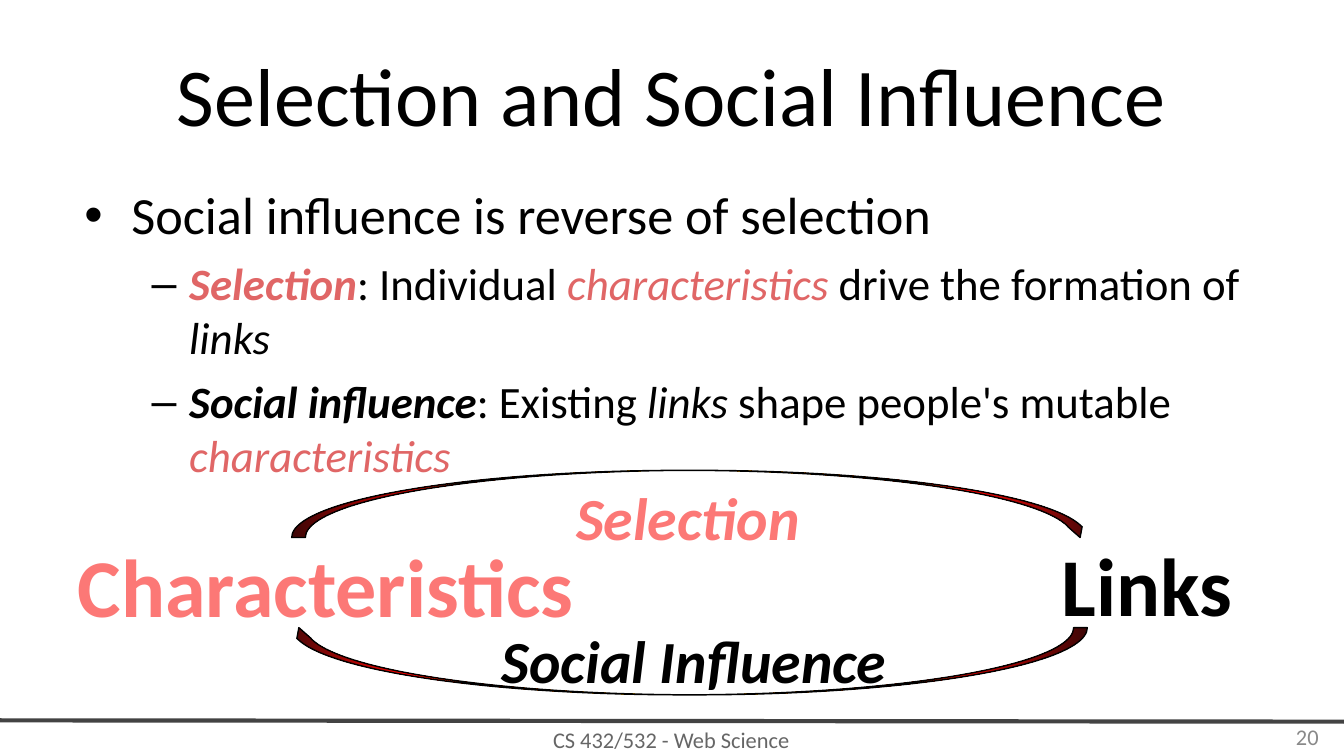
"""Build a slide that contrasts selection with social influence."""
from lxml import etree
from pptx import Presentation
from pptx.dml.color import RGBColor
from pptx.enum import shapes, text
from pptx.oxml import parse_xml
from pptx.oxml.ns import nsdecls, qn
from pptx.util import Inches, Pt

BLACK, ROSE, CORAL = "000000", "E06666", "FC7876"
LEFT, CENTER, RIGHT = text.PP_ALIGN.LEFT, text.PP_ALIGN.CENTER, text.PP_ALIGN.RIGHT


def color(value):
    return RGBColor.from_string(value)


def add_text(place, words, size, shade, align=CENTER, bold=False, italic=False):
    box = page.shapes.add_textbox(*map(Inches, place))
    frame = box.text_frame
    frame.word_wrap = True
    frame.vertical_anchor = text.MSO_ANCHOR.MIDDLE
    para = frame.paragraphs[0]
    para.text = words
    para.alignment = align
    font = para.font
    font.name, font.size, font.bold, font.italic = "Calibri", Pt(size), bold, italic
    font.color.rgb = color(shade)
    return frame


deck = Presentation()
deck.slide_width, deck.slide_height = Inches(10), Inches(10 * 9 / 16)
page = deck.slides.add_slide(deck.slide_layouts[6])

add_text((1.82, 5.37, 6.35, 0.26), "CS 432/532 - Web Science", 12, "666666")
rule = page.shapes.add_connector(
    shapes.MSO_CONNECTOR.STRAIGHT, Inches(0), Inches(5.36), Inches(10), Inches(5.37))
rule.line.color.rgb = color("434343")
rule.line.width = Pt(2.25)
etree.SubElement(rule._element.spPr, qn("a:effectLst"))

add_text((0.5, 0.23, 9, 0.94), "Selection and Social Influence", 44, BLACK)

points = [
    ("•", 28, 0.38, -0.35, 0,
     [("Social influence is reverse of selection", BLACK, False, False)]),
    ("–", 24, 0.81, -0.28, 5.6,
     [("Selection", ROSE, True, True),
      (": Individual ", BLACK, False, False),
      ("characteristics", ROSE, False, True),
      (" drive the formation of ", BLACK, False, False),
      ("links", BLACK, False, True)]),
    ("–", 24, 0.81, -0.28, 5.6,
     [("Social influence", BLACK, True, True),
      (": Existing ", BLACK, False, False),
      ("links", BLACK, False, True),
      (" shape people's mutable ", BLACK, False, False),
      ("characteristics", ROSE, False, True)]),
]
body = add_text((0.5, 1.31, 9, 2.3), "", 28, BLACK, LEFT)
body.vertical_anchor = text.MSO_ANCHOR.TOP
for index, (bullet, size, margin, indent, gap, spans) in enumerate(points):
    para = body.paragraphs[0] if index == 0 else body.add_paragraph()
    para.level = min(index, 1)
    para.space_before = Pt(gap)
    para.font.name, para.font.size = "Calibri", Pt(size)
    props = para._p.get_or_add_pPr()
    props.set("marL", str(Inches(margin)))
    props.set("indent", str(Inches(indent)))
    marks = (
        f'<a:buClr {nsdecls("a")}><a:srgbClr val="{BLACK}"/></a:buClr>',
        f'<a:buFont {nsdecls("a")} typeface="Arial"/>',
        f'<a:buChar {nsdecls("a")} char="{bullet}"/>',
    )
    for mark in marks:
        props.find(qn("a:defRPr")).addprevious(parse_xml(mark))
    for words, shade, bold, italic in spans:
        span = para.add_run()
        span.text = words
        span.font.bold, span.font.italic = bold, italic
        span.font.color.rgb = color(shade)

add_text((0.33, 3.99, 4.33, 0.72), "Characteristics ", 44, CORAL, bold=True)
add_text((7.41, 3.98, 2.25, 0.72), "Links", 44, BLACK, bold=True)

stops = "".join(
    f'<a:gs pos="{position * 1000}"><a:srgbClr val="{shade}"/></a:gs>'
    for position, shade in ((0, "FFF200"), (45, "FF7A00"), (70, "FF0300"), (100, "4D0808")))
gradient = (
    f'<a:gradFill {nsdecls("a")}><a:gsLst>{stops}</a:gsLst><a:path path="circle">'
    '<a:fillToRect l="50000" t="50000" r="50000" b="50000"/></a:path></a:gradFill>')
for top, rotation in ((3.5, 0), (4.67, 180)):
    arrow = page.shapes.add_shape(
        shapes.MSO_SHAPE.CURVED_DOWN_ARROW,
        Inches(2.17), Inches(top), Inches(5.92), Inches(0.5))
    arrow.rotation = rotation
    for index, value in enumerate((0.204, 0.213, 0.162)):
        arrow.adjustments[index] = value
    arrow.shadow.inherit = False
    arrow.line.color.rgb = color(BLACK)
    arrow.line.width = Pt(0.75)
    arrow._element.spPr.find(qn("a:prstGeom")).addnext(parse_xml(gradient))

add_text((2.95, 3.57, 4.34, 0.55), "Selection", 32, CORAL, bold=True, italic=True)
add_text((3.58, 4.63, 3.17, 0.55), "Social Influence", 32, BLACK, bold=True, italic=True)
add_text((7.58, 5.33, 2.33, 0.3), "20", 12, "898989", RIGHT)

deck.save("out.pptx")
